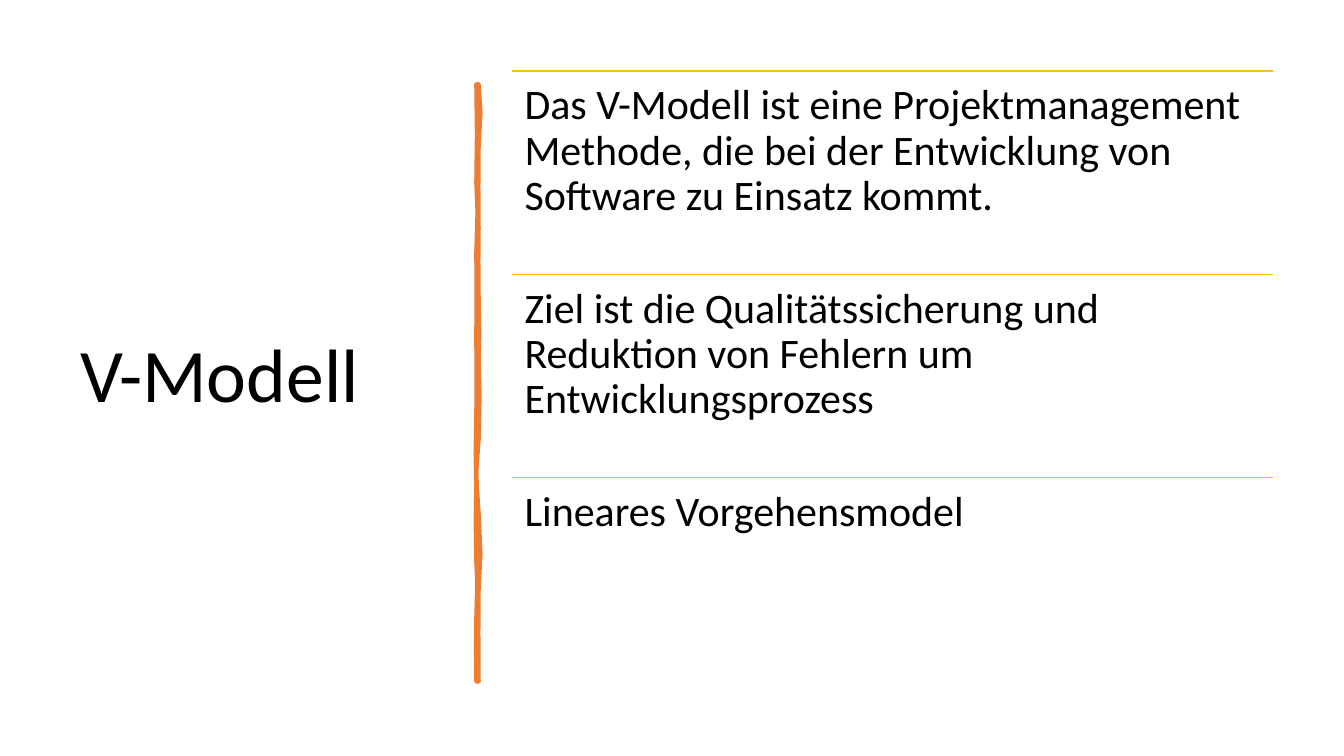
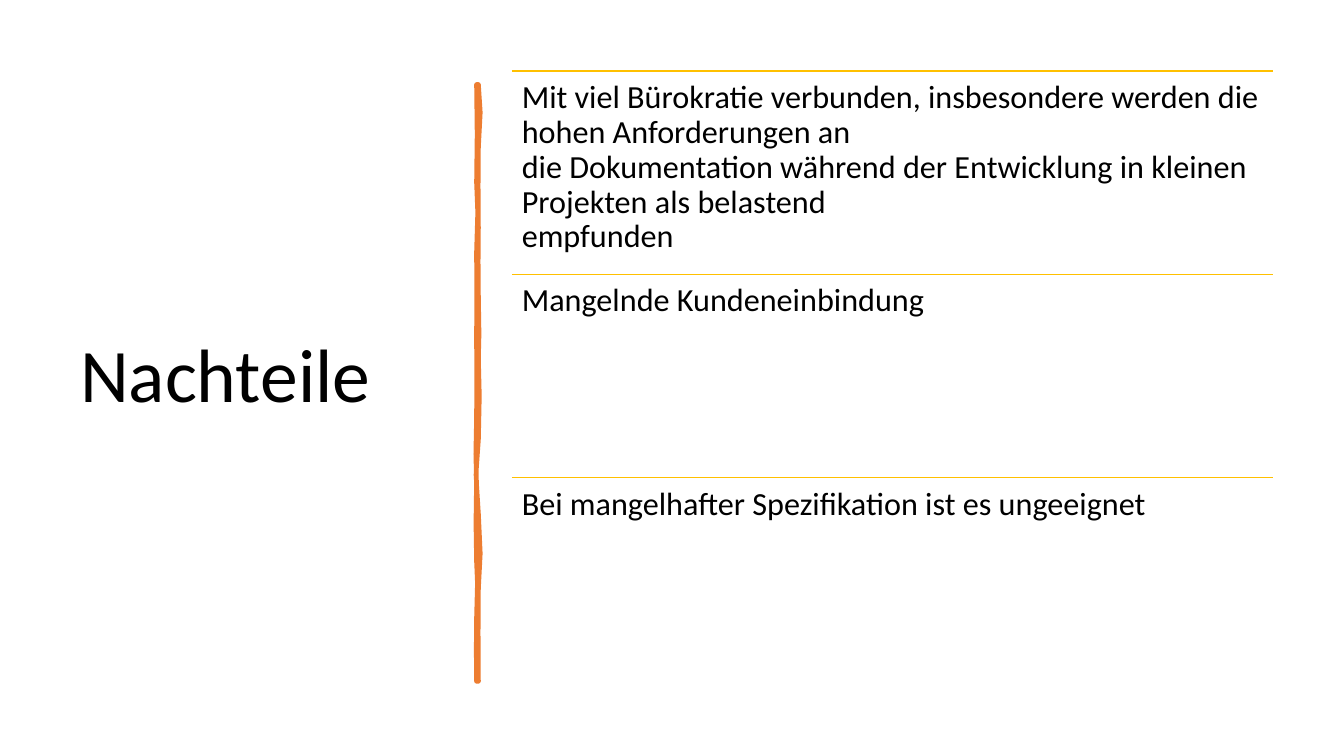
import dataclasses

import pptx
import pptx.dml.color
import pptx.enum.shapes
import pptx.enum.text
import pptx.oxml
import pptx.util
from pptx.util import Cm, Pt


@dataclasses.dataclass(frozen=True)
class Theme:
    font: str = "Calibri"
    text: str = "000000"
    brush: str = "ED7D31"
    rule: str = "FFC000"
    title_size: float = 54
    brush_width: float = 3.25
    rule_width: float = 1


STROKE_TOP = 2.13
RIGHT_EDGE, LEFT_EDGE = 12.06, 12.01
RIGHT_BENDS = [
    (0.06, 2.59, 0.06, 3.02, 3.71),
    (-0.05, 4.39, 0.03, 4.95, 5.74),
    (-0.02, 6.53, 0, 6.65, 7.47),
    (-0.02, 8.26, 0.06, 8.69, 9.04),
    (-0.05, 9.4, 0.11, 10.52, 11.07),
    (-0.1, 11.61, -0.07, 12.29, 12.95),
    (0.06, 13.61, 0.06, 14.33, 14.83),
    (-0.05, 15.32, 0.03, 16.51, 17.17),
]
LEFT_BENDS = [
    (0.03, 16.41, -0.05, 16.36, 15.57),
    (0.03, 14.81, 0.03, 14.48, 14.15),
    (-0.02, 13.82, -0.02, 12.57, 12.12),
    (0, 11.66, -0.05, 11.3, 10.54),
    (0.03, 9.8, -0.02, 9.47, 8.51),
    (0.03, 7.57, -0.02, 7.14, 6.35),
    (0.03, 5.54, 0.05, 5.08, 4.6),
    (-0.07, 4.14, 0.11, 2.64, 2.13),
]


def edge_points(edge, start, bends, steps=2):
    points = [(Cm(edge), Cm(start))]
    for bend_1, y_1, bend_2, y_2, end in bends:
        for step in range(1, steps + 1):
            t = step / steps
            near, far = 3 * t * (1 - t) ** 2, 3 * t * t * (1 - t)
            x = edge + near * bend_1 + far * bend_2
            y = start * (1 - t) ** 3 + near * y_1 + far * y_2 + end * t ** 3
            points.append((Cm(x), Cm(y)))
        start = end
    return points


def write(frame, text, *, size, font, color, margins,
          anchor=pptx.enum.text.MSO_ANCHOR.TOP, spacing=0.9):
    frame.word_wrap = True
    frame.vertical_anchor = anchor
    frame.margin_left = frame.margin_right = Cm(margins[0])
    frame.margin_top = frame.margin_bottom = Cm(margins[1])
    paragraph = frame.paragraphs[0]
    paragraph.text = text
    paragraph.line_spacing = spacing
    for run in paragraph.runs:
        run.font.size = Pt(size)
        run.font.name = font
        run.font.color.rgb = pptx.dml.color.RGBColor.from_string(color)


class Deck:
    def __init__(self, theme):
        self.theme = theme
        self.presentation = pptx.Presentation()
        self.presentation.slide_width = Cm(33.87)
        self.presentation.slide_height = Cm(19.05)
        self.slide = None

    def new_slide(self):
        blank = self.presentation.slide_layouts[6]
        self.slide = self.presentation.slides.add_slide(blank)

    def text(self, text, left, top, width, height, **style):
        box = self.slide.shapes.add_textbox(Cm(left), Cm(top), Cm(width), Cm(height))
        write(box.text_frame, text, font=self.theme.font, color=self.theme.text, **style)

    def title(self, text):
        self.text(text, 1.77, 1.76, 9.5, 15.52, size=self.theme.title_size,
                  margins=(0.25, 0.13), anchor=pptx.enum.text.MSO_ANCHOR.MIDDLE)

    def brush_stroke(self):
        right = edge_points(RIGHT_EDGE, STROKE_TOP, RIGHT_BENDS)
        left = edge_points(LEFT_EDGE, RIGHT_BENDS[-1][-1], LEFT_BENDS)
        builder = self.slide.shapes.build_freeform(*right[0])
        builder.add_line_segments(right[1:] + left, close=True)
        stroke = builder.convert_to_shape()
        stroke.shadow.inherit = False
        color = pptx.dml.color.RGBColor.from_string(self.theme.brush)
        stroke.fill.solid()
        stroke.fill.fore_color.rgb = color
        stroke.line.color.rgb = color
        stroke.line.width = Pt(self.theme.brush_width)

    def rule(self, left, top, width):
        line = self.slide.shapes.add_connector(
            pptx.enum.shapes.MSO_CONNECTOR.STRAIGHT,
            Cm(left), Cm(top), Cm(left + width), Cm(top))
        line.line.color.rgb = pptx.dml.color.RGBColor.from_string(self.theme.rule)
        line.line.width = Pt(self.theme.rule_width)
        properties = line._element.spPr
        properties.append(pptx.oxml.parse_xml(
            '<a:effectLst xmlns:a="http://schemas.openxmlformats.org/drawingml/2006/main"/>'))

    def statements(self, statements, size, margin):
        left, top, width, height = 12.9, 1.79, 19.18, 5.12
        for row, statement in enumerate(statements):
            row_top = top + row * height
            self.rule(left, row_top, width)
            self.text(statement, left, row_top, width, height,
                      size=size, margins=(margin, margin))

    def topic(self, heading, statements, size, margin):
        self.new_slide()
        self.title(heading)
        self.brush_stroke()
        self.statements(statements, size, margin)


def main():
    deck = Deck(Theme())
    deck.topic("V-Modell", [
        "Das V-Modell ist eine Projektmanagement Methode, die bei der "
        "Entwicklung von Software zu Einsatz kommt.",
        "Ziel ist die Qualitätssicherung und Reduktion von Fehlern um "
        "Entwicklungsprozess",
        "Lineares Vorgehensmodel",
    ], size=30, margin=0.32)
    deck.topic("Nachteile", [
        "Mit viel Bürokratie verbunden, insbesondere werden die hohen "
        "Anforderungen an\n"
        "die Dokumentation während der Entwicklung in kleinen Projekten "
        "als belastend\n"
        "empfunden",
        "Mangelnde Kundeneinbindung",
        "Bei mangelhafter Spezifikation ist es ungeeignet ",
    ], size=23, margin=0.25)
    deck.presentation.save("out.pptx")


if __name__ == "__main__":
    main()
